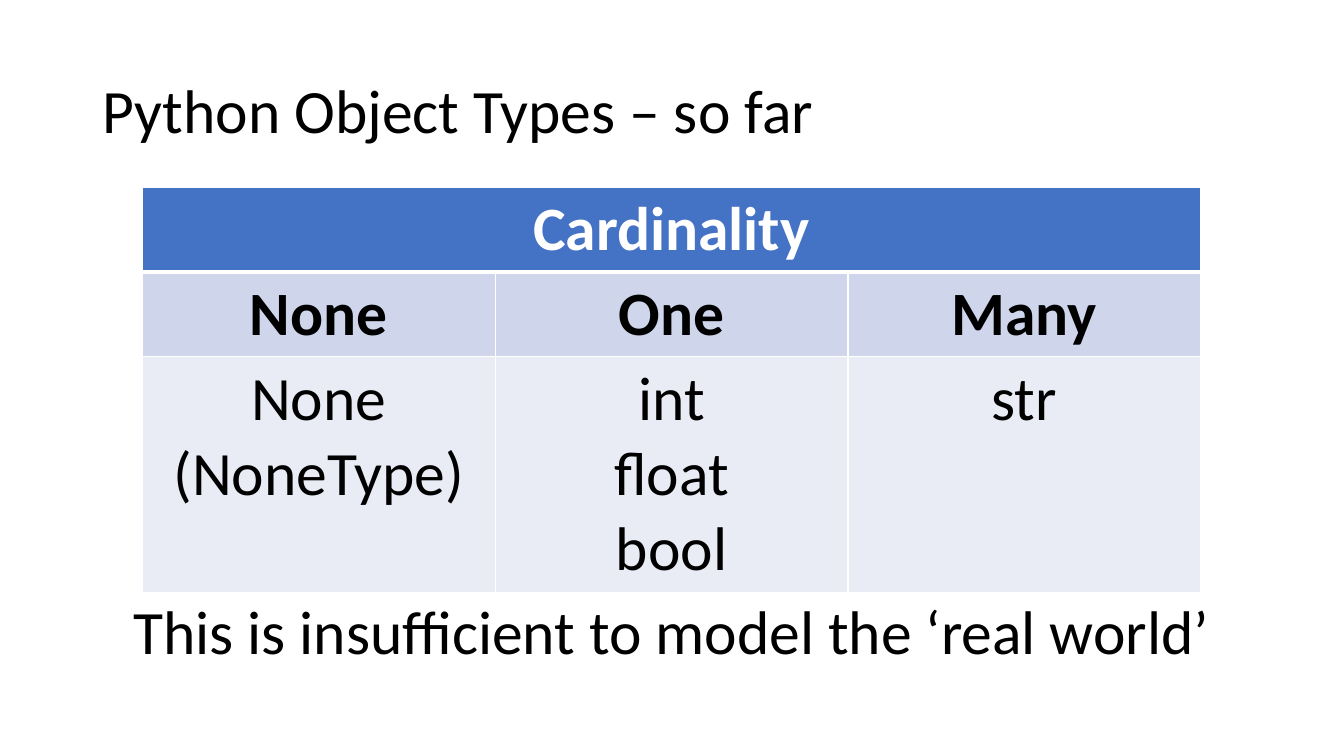
from lxml import etree
from pptx import Presentation
from pptx.dml.color import RGBColor
from pptx.enum.text import MSO_ANCHOR, PP_ALIGN
from pptx.oxml.ns import qn
from pptx.util import Cm, Pt

CENTER, LEFT = PP_ALIGN.CENTER, PP_ALIGN.LEFT
MIDDLE = MSO_ANCHOR.MIDDLE
TITLE_ONLY = 5
BLACK, WHITE = "000000", "FFFFFF"


def write_text(frame, text, align, color=BLACK, bold=False, spacing=None):
    """Fill a text frame, one paragraph per line of text."""
    frame.text = text
    for paragraph in frame.paragraphs:
        paragraph.alignment = align
        paragraph.line_spacing = spacing
        font = paragraph.runs[0].font
        font.color.rgb = RGBColor.from_string(color)
        for name, value in {"name": "Calibri", "size": Pt(44), "bold": bold}.items():
            setattr(font, name, value)


def add_borders(cell, bottom_width):
    """Draw white lines round a cell, with its own width at the bottom."""
    properties = cell._tc.get_or_add_tcPr()
    for side, width in {"L": 1, "R": 1, "T": 1, "B": bottom_width}.items():
        line = etree.SubElement(properties, qn(f"a:ln{side}"), w=str(Pt(width)))
        fill = etree.SubElement(line, qn("a:solidFill"))
        etree.SubElement(fill, qn("a:srgbClr"), val=WHITE)


prs = Presentation()
prs.slide_width, prs.slide_height = Cm(33.87), Cm(19.05)
slide = prs.slides.add_slide(prs.slide_layouts[TITLE_ONLY])

# Title and closing remark share their left edge and width
title = slide.shapes.title
remark = slide.shapes.add_textbox(0, 0, 0, 0)
captions = [
    (title, "Python Object Types – so far", LEFT, 1.01, 3.68),
    (remark, "This is insufficient to model the ‘real world’", CENTER, 14.78, 2.41),
]
for caption, text, align, top, height in captions:
    caption.left, caption.top = Cm(2.33), Cm(top)
    caption.width, caption.height = Cm(29.21), Cm(height)
    caption.text_frame.word_wrap = True
    caption.text_frame.vertical_anchor = MIDDLE
    write_text(caption.text_frame, text, align, spacing=0.9)

# Object types by cardinality: texts, fill, text colour, bold, height, bottom line
rows = [
    (["Cardinality", "", ""], "4472C4", WHITE, True, 2.14, 3),
    (["None", "One", "Many"], "CFD5EA", BLACK, True, 2.14, 1),
    (["None (NoneType)", "int\nfloat\nbool", "str"], "E9EBF5", BLACK, False, 5.94, 1),
]
types = slide.shapes.add_table(
    len(rows), 3, Cm(3.59), Cm(4.71), Cm(26.67), Cm(10.22)).table
for row_index, (texts, fill, color, bold, height, bottom_width) in enumerate(rows):
    types.rows[row_index].height = Cm(height)
    for column_index, text in enumerate(texts):
        cell = types.cell(row_index, column_index)
        add_borders(cell, bottom_width)
        cell.fill.solid()
        cell.fill.fore_color.rgb = RGBColor.from_string(fill)
        if text:
            write_text(cell.text_frame, text, CENTER, color, bold)
types.cell(0, 0).merge(types.cell(0, 2))

prs.save("out.pptx")
